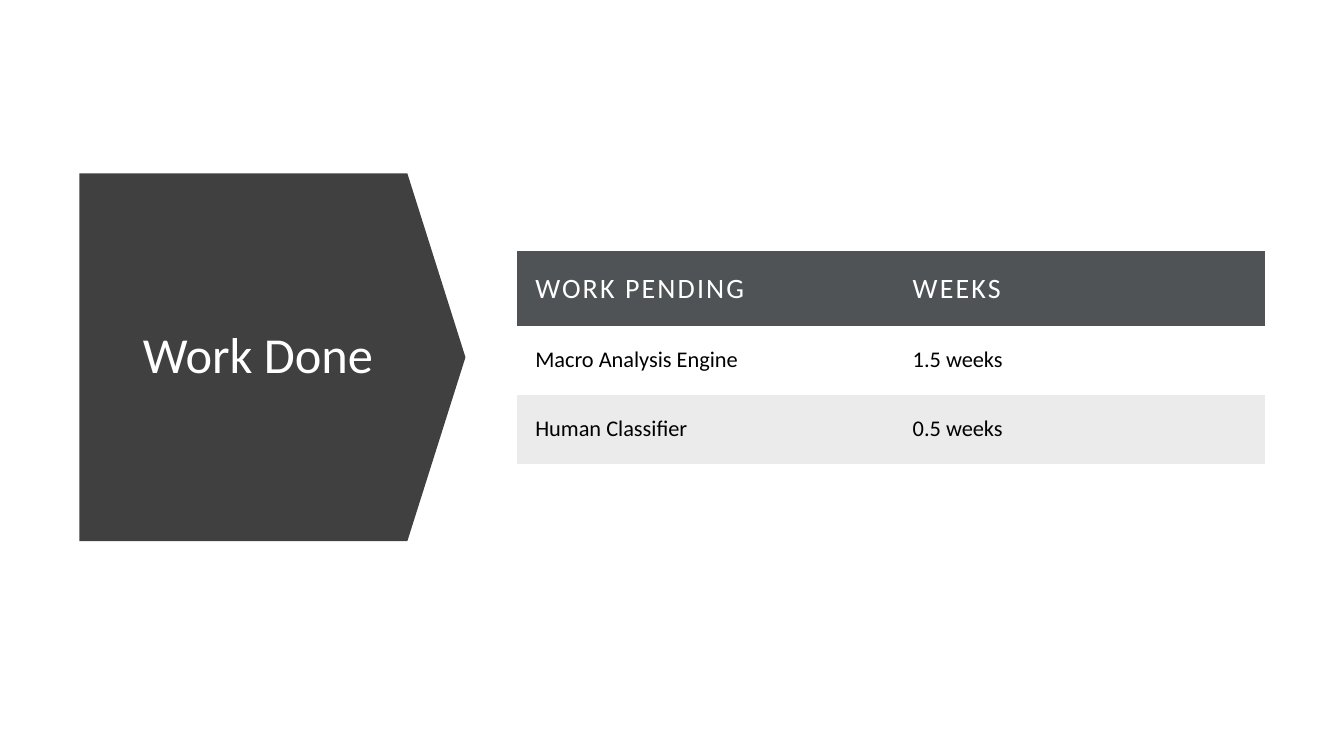
from pptx import Presentation
from pptx.dml.color import RGBColor
from pptx.enum.shapes import MSO_SHAPE as SHAPE
from pptx.enum.text import MSO_ANCHOR as ANCHOR, PP_ALIGN as ALIGN
from pptx.oxml.ns import qn
from pptx.util import Pt
from lxml.etree import SubElement

FONT = "Calibri"
NO_GRID_STYLE = "{2D5ABB26-0587-4C30-8999-92F81FD0307C}"
COLORS = {"arrow": "404040", "header": "505356", "band": "000000",
          "light": "FFFFFF", "body": "000000"}
ROWS = [("WORK PENDING", "WEEKS"),
        ("Macro Analysis Engine", "1.5 weeks"),
        ("Human Classifier", "0.5 weeks")]


def rgb(name):
    return RGBColor.from_string(COLORS[name])


def add_run(p, text, size, color):
    r = p.add_run()
    r.text = text
    r.font.name, r.font.size = FONT, Pt(size)
    r.font.color.rgb = rgb(color)
    return r


def add_title_arrow(s, x, y, w, h):
    # Block arrow, turned from down to right about its centre
    sp = s.shapes.add_shape(SHAPE.DOWN_ARROW, Pt(x + (w - h) / 2),
                            Pt(y + (h - w) / 2), Pt(h), Pt(w))
    sp.rotation = 270
    sp.adjustments[0], sp.adjustments[1] = 1, 0.158
    sp.shadow.inherit = False
    sp.fill.solid()
    sp.fill.fore_color.rgb = rgb("arrow")
    sp.line.fill.background()

    # Title
    tf = s.shapes.add_textbox(Pt(x + 23.8), Pt(y + 31), Pt(207.4),
                              Pt(h - 62)).text_frame
    tf.word_wrap = True
    tf.vertical_anchor = ANCHOR.MIDDLE
    p = tf.paragraphs[0]
    p.alignment, p.line_spacing = ALIGN.CENTER, 0.9
    add_run(p, "Work Done", 36, "light")


def fill_cell(cell, row):
    if row == 1:
        cell.fill.background()
        return
    cell.fill.solid()
    cell.fill.fore_color.rgb = rgb("band" if row else "header")
    if row:
        color = cell.fill._xPr.find(".//" + qn("a:srgbClr"))
        SubElement(color, qn("a:alpha"), val="8000")


def add_work_table(s, x, y, col_widths, row_heights):
    frame = s.shapes.add_table(len(ROWS), len(ROWS[0]), Pt(x), Pt(y),
                               Pt(sum(col_widths)), Pt(sum(row_heights)))
    table = frame.table
    table._tbl.tblPr.find(qn("a:tableStyleId")).text = NO_GRID_STYLE
    for column, width in zip(table.columns, col_widths):
        column.width = Pt(width)
    for i, (height, texts) in enumerate(zip(row_heights, ROWS)):
        table.rows[i].height = Pt(height)
        for j, text in enumerate(texts):
            cell = table.cell(i, j)
            cell.margin_left = cell.margin_right = Pt(13.1)
            cell.margin_top = cell.margin_bottom = Pt(13.1)
            fill_cell(cell, i)
            p = cell.text_frame.paragraphs[0]
            p.line_spacing, p.space_after = 1.07, Pt(8.9)
            pPr = p._p.get_or_add_pPr()
            pPr.set("marL", str(Pt(0.5)))
            pPr.set("indent", str(-Pt(0.5)))
            if i:
                add_run(p, text, 16, "body")
            else:
                r = add_run(p, text, 20, "light")
                r.font._element.set("spc", "150")


def main():
    prs = Presentation()
    prs.slide_width, prs.slide_height = Pt(960), Pt(540)
    s = prs.slides.add_slide(prs.slide_layouts[6])
    add_title_arrow(s, 56.8, 123.8, 275.7, 262.8)
    add_work_table(s, 369.3, 179.3, (269.6, 264.6), (53.8, 49.2, 49.2))
    prs.save("out.pptx")


if __name__ == "__main__":
    main()
